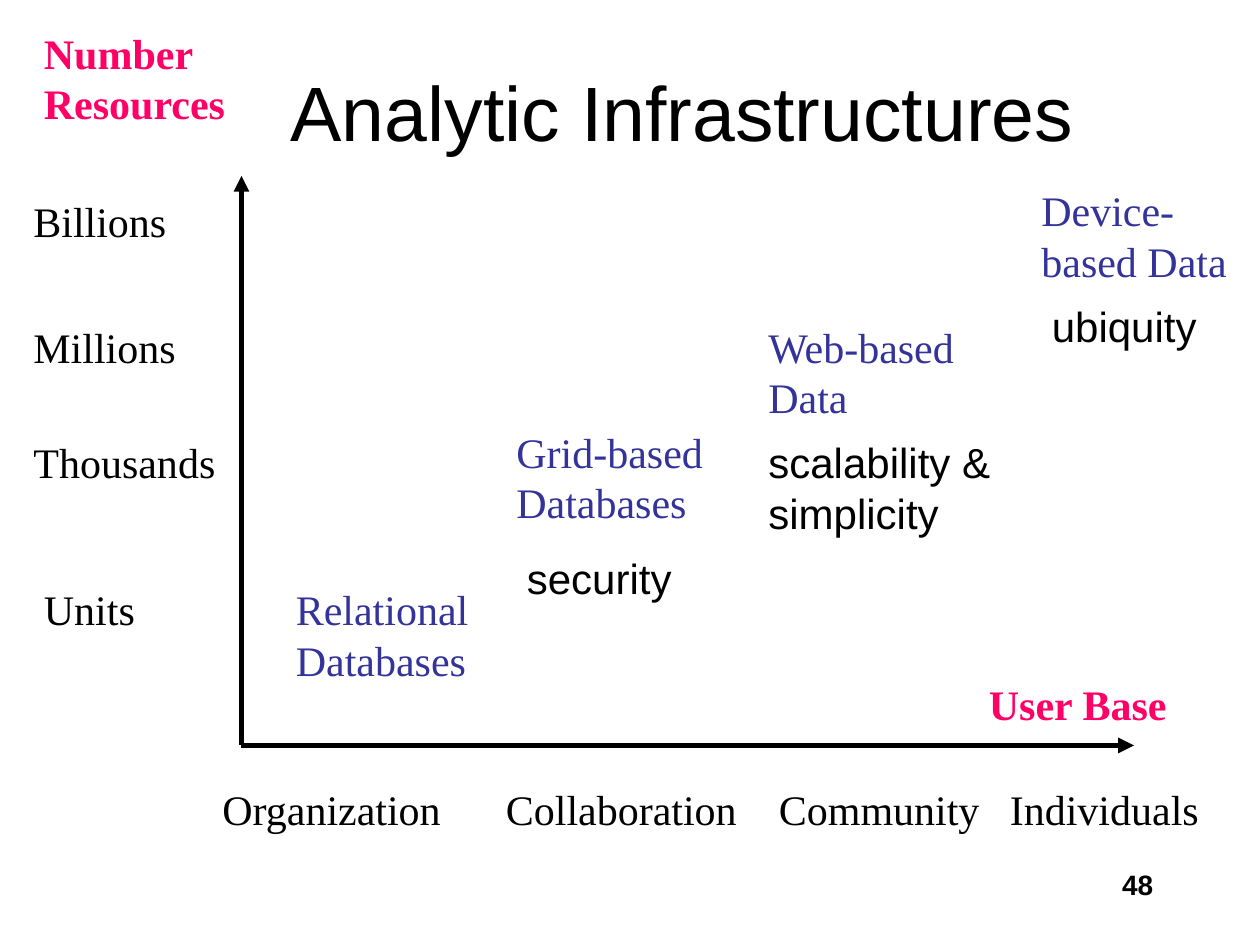
from lxml.etree import SubElement
from pptx import Presentation
from pptx.dml.color import RGBColor
from pptx.enum.shapes import MSO_CONNECTOR
from pptx.enum.text import MSO_ANCHOR, PP_ALIGN
from pptx.oxml.ns import qn
from pptx.util import Pt

PX = 9525  # EMU per px, 96 px to the inch
BLACK, PINK, BLUE = "000000", "FF0066", "333399"
SERIF, SANS = "Times New Roman", "Arial"
LINE_H, TWO_LINES_H = 48, 86

TITLE = "Analytic Infrastructures"
PAGE_NUMBER = "48"

# text, left, top, width
RESOURCE_LEVELS = [
    ("Billions", 16, 144, 168),
    ("Millions", 16, 240, 168),
    ("Thousands", 16, 328, 176),
    ("Units", 24, 440, 96),
]
# text, left, width
USER_GROUPS = [
    ("Organization", 160, 192),
    ("Collaboration", 376, 216),
    ("Community", 584, 184),
    ("Individuals", 760, 176),
]
USER_TOP = 592
# text, left, top, width, height
AXIS_TITLES = [
    ("Number Resources", 24, 16, 168, TWO_LINES_H),
    ("User Base", 744, 512, 176, LINE_H),
]
DATA_TYPES = [
    ("Relational Databases", 216, 440, 168, TWO_LINES_H),
    ("Grid-based\vDatabases", 384, 320, 184, TWO_LINES_H),
    ("Web-based\vData", 576, 240, 208, TWO_LINES_H),
    ("Device-based Data", 784, 136, 176, TWO_LINES_H),
]
QUALITIES = [
    ("security", 392, 416, 152, LINE_H),
    ("scalability & simplicity", 576, 328, 232, TWO_LINES_H),
    ("ubiquity", 792, 224, 144, LINE_H),
]
ORIGIN = (184, 568)
AXIS_TIPS = [(184, 134), (864, 568)]


def rgb(color):
    return RGBColor.from_string(color)


def px(*values):
    return [v * PX for v in values]


def format_text(tf, size, font, color, bold=False, align=PP_ALIGN.LEFT):
    tf.word_wrap = True
    p = tf.paragraphs[0]
    p.alignment = align
    for r in p.runs:
        r.font.size = Pt(size)
        r.font.name = font
        r.font.bold = bold
        r.font.color.rgb = rgb(color)


def add_label(s, text, left, top, width, height=LINE_H, size=24, font=SERIF,
              color=BLACK, bold=False, align=PP_ALIGN.LEFT):
    tf = s.shapes.add_textbox(*px(left, top, width, height)).text_frame
    tf.text = text
    format_text(tf, size, font, color, bold, align)


def add_axis(shapes, tip):
    """Draw a line from the tip, which has the arrowhead, to the origin."""
    axis = shapes.add_connector(MSO_CONNECTOR.STRAIGHT, *px(*tip, *ORIGIN))
    axis.line.color.rgb = rgb(BLACK)
    axis.line.width = Pt(3)
    SubElement(axis.line._get_or_add_ln(), qn("a:headEnd"), type="triangle")
    SubElement(axis._element.spPr, qn("a:effectLst"))


def main():
    prs = Presentation()
    prs.slide_width, prs.slide_height = px(960, 720)
    s = prs.slides.add_slide(prs.slide_layouts[5])

    title = s.shapes.title
    title.left, title.top, title.width, title.height = px(112, 24, 816, 120)
    title.text_frame.text = TITLE
    title.text_frame.vertical_anchor = MSO_ANCHOR.MIDDLE
    format_text(title.text_frame, 44, SANS, BLACK, align=PP_ALIGN.CENTER)

    axes = s.shapes.add_group_shape()
    for tip in AXIS_TIPS:
        add_axis(axes.shapes, tip)

    for label in RESOURCE_LEVELS:
        add_label(s, *label)
    for text, left, width in USER_GROUPS:
        add_label(s, text, left, USER_TOP, width)
    for label in AXIS_TITLES:
        add_label(s, *label, color=PINK, bold=True)
    for label in DATA_TYPES:
        add_label(s, *label, color=BLUE)
    for label in QUALITIES:
        add_label(s, *label, font=SANS)
    add_label(s, PAGE_NUMBER, 688, 656, 200, size=16, font=SANS, bold=True,
              align=PP_ALIGN.RIGHT)

    prs.save("out.pptx")


if __name__ == "__main__":
    main()
